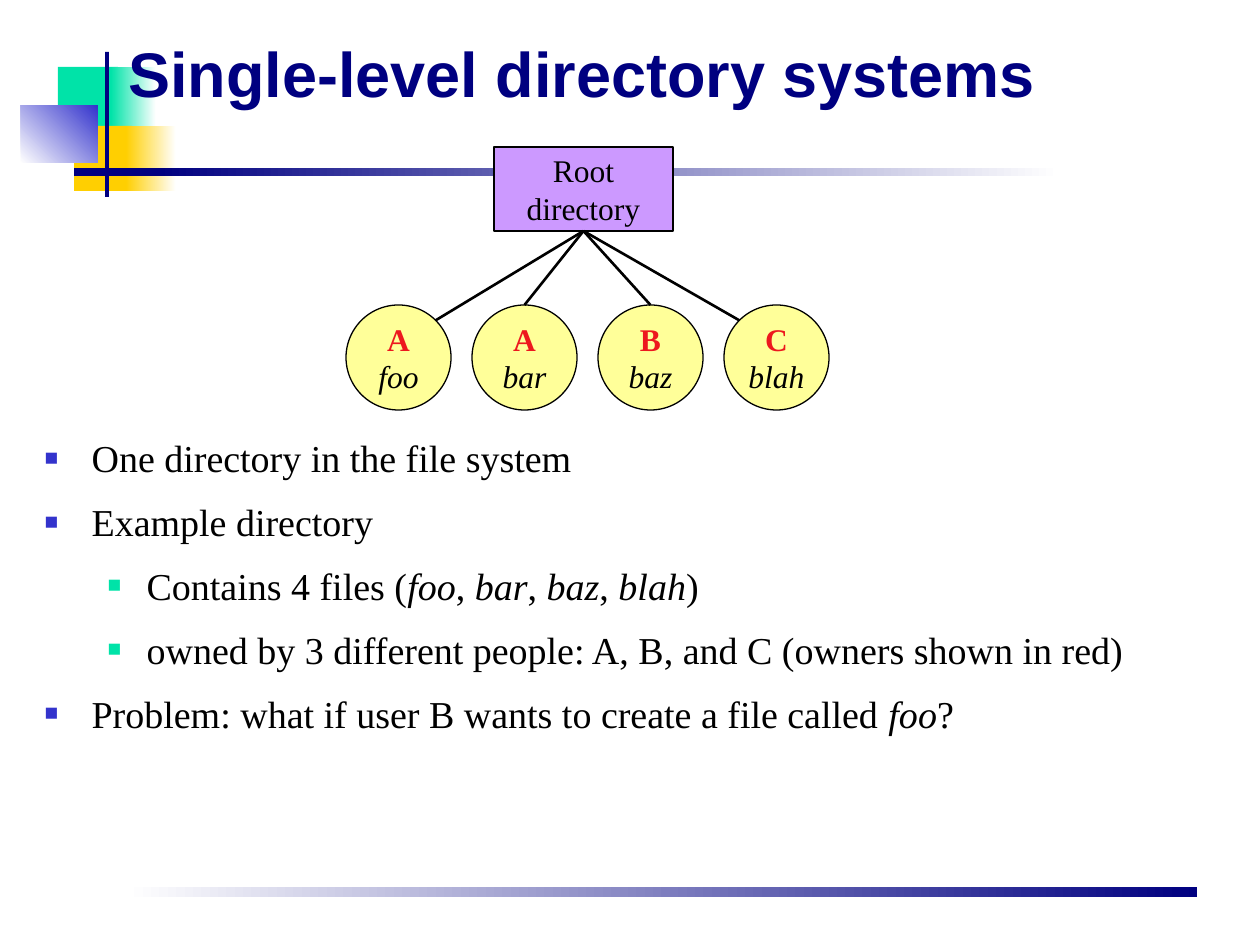
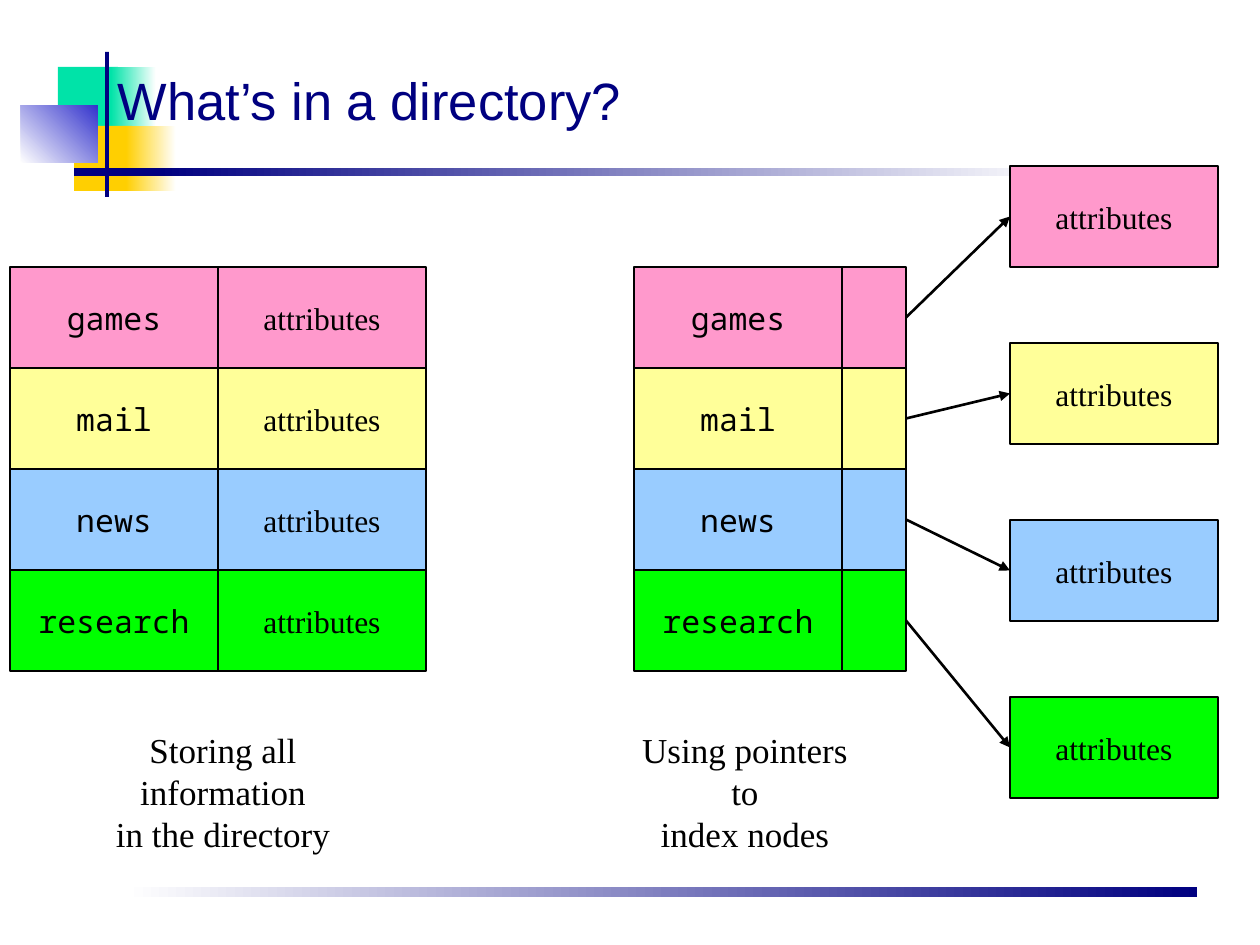
from dataclasses import dataclass
from math import sqrt
from typing import NamedTuple

from lxml.etree import SubElement
from pptx import Presentation
from pptx.dml.color import RGBColor
from pptx.enum.shapes import MSO_CONNECTOR, MSO_SHAPE
from pptx.enum.text import MSO_ANCHOR, MSO_AUTO_SIZE, PP_ALIGN
from pptx.oxml.ns import qn
from pptx.util import Emu, Pt

PX_PER_INCH = 126


def px(length: float) -> Emu:
    return Emu(round(length * 914400 / PX_PER_INCH))


@dataclass(frozen=True)
class Theme:
    navy: str = "000080"
    blue: str = "3333CC"
    teal: str = "00E3A8"
    gold: str = "FFCF01"
    white: str = "FFFFFF"
    black: str = "000000"
    owner_red: str = "ED181E"
    violet: str = "CC99FF"
    pink: str = "FF99CC"
    yellow: str = "FFFF99"
    sky: str = "99CCFF"
    green: str = "00FF00"
    title_font: str = "Arial"
    text_font: str = "Times New Roman"
    code_font: str = "Noto Sans Mono"
    large_title: float = 36
    title: float = 30
    body: float = 21.7
    caption: float = 20
    label: float = 18
    outline: float = 0.75
    link: float = 1.5


THEME = Theme()


class Frame(NamedTuple):
    left: int
    top: int
    width: int
    height: int

    @property
    def right(self) -> int:
        return self.left + self.width

    @property
    def center(self) -> float:
        return self.left + self.width / 2

    @property
    def middle(self) -> float:
        return self.top + self.height / 2


class Point(NamedTuple):
    x: float
    y: float


class Band(NamedTuple):
    frame: Frame
    color: str
    end_color: str = ""
    angle: int = 0


class Bullet(NamedTuple):
    text: str  # words between asterisks are italic
    level: int = 0


class BulletStyle(NamedTuple):
    margin: int
    hanging: int
    color: str


class OwnedFile(NamedTuple):
    owner: str
    name: str


class Entry(NamedTuple):
    name: str
    color: str


BANDS = [
    Band(Frame(126, 887, 1071, 10), THEME.white, THEME.navy),
    Band(Frame(58, 67, 60, 66), THEME.teal),
    Band(Frame(111, 67, 45, 66), THEME.teal, THEME.white),
    Band(Frame(74, 126, 58, 65), THEME.gold),
    Band(Frame(126, 126, 50, 65), THEME.gold, THEME.white),
    Band(Frame(21, 105, 77, 58), THEME.white, THEME.blue, 45),
    Band(Frame(105, 52, 4, 145), THEME.navy),
    Band(Frame(74, 168, 94, 8), THEME.navy),
    Band(Frame(158, 168, 902, 8), THEME.navy, THEME.white),
]

BULLET_STYLES = [BulletStyle(47, 47, THEME.blue), BulletStyle(102, 39, THEME.teal)]

BULLETS = [
    Bullet("One directory in the file system"),
    Bullet("Example directory"),
    Bullet("Contains 4 files (*foo*, *bar*, *baz*, *blah*)", 1),
    Bullet("owned by 3 different people: A, B, and C (owners shown in red)", 1),
    Bullet("Problem: what if user B wants to create a file called *foo*?"),
]

FILES = [OwnedFile("A", "foo"), OwnedFile("A", "bar"),
         OwnedFile("B", "baz"), OwnedFile("C", "blah")]

ENTRIES = [Entry("games", THEME.pink), Entry("mail", THEME.yellow),
           Entry("news", THEME.sky), Entry("research", THEME.green)]


def place(shape, frame: Frame) -> None:
    shape.left, shape.top, shape.width, shape.height = map(px, frame)


def style_span(span, size: float, font: str = THEME.text_font, color: str = THEME.black,
               bold: bool = False, italic: bool = False) -> None:
    span.font.size = Pt(size)
    span.font.name = font
    span.font.color.rgb = RGBColor.from_string(color)
    span.font.bold = bold
    span.font.italic = italic


def add_plain_shape(page, kind: MSO_SHAPE, frame: Frame, color: str):
    shape = page.shapes.add_shape(kind, *map(px, frame))
    shape.shadow.inherit = False
    shape.fill.solid()
    shape.fill.fore_color.rgb = RGBColor.from_string(color)
    shape.line.fill.background()
    return shape


def add_band(page, band: Band):
    shape = add_plain_shape(page, MSO_SHAPE.RECTANGLE, band.frame, band.color)
    if band.end_color:
        shape.fill.gradient()
        shape.fill.gradient_angle = band.angle
        for stop, color in zip(shape.fill.gradient_stops, (band.color, band.end_color)):
            stop.color.rgb = RGBColor.from_string(color)
    return shape


def decorate_master(deck, page) -> None:
    """Draw the bands on a page, then move them behind everything on the master."""
    tree = deck.slide_master.shapes.element
    for position, band in enumerate(BANDS, start=2):
        tree.insert(position, add_band(page, band).element)


def write_centered(shape, lines: list[str], size: float, font: str = THEME.text_font) -> list:
    """Write the lines as one centred paragraph and return its runs."""
    frame = shape.text_frame
    frame.word_wrap = False
    para = frame.paragraphs[0]
    para.text = "\v".join(lines)
    para.alignment = PP_ALIGN.CENTER
    for span in para.runs:
        style_span(span, size, font)
    return list(para.runs)


def add_node(page, kind: MSO_SHAPE, frame: Frame, color: str, lines: list[str],
             font: str = THEME.text_font):
    shape = add_plain_shape(page, kind, frame, color)
    shape.line.color.rgb = RGBColor.from_string(THEME.black)
    shape.line.width = Pt(THEME.outline)
    shape.text_frame.vertical_anchor = MSO_ANCHOR.MIDDLE
    if lines:
        write_centered(shape, lines, THEME.label, font)
    return shape


def add_link(page, start: Point, end: Point, arrow: bool = False):
    link = page.shapes.add_connector(MSO_CONNECTOR.STRAIGHT, *map(px, (*start, *end)))
    link.line.color.rgb = RGBColor.from_string(THEME.black)
    link.line.width = Pt(THEME.link)
    properties = link.element.spPr
    if arrow:
        SubElement(properties.find(qn("a:ln")), qn("a:tailEnd"), type="triangle")
    SubElement(properties, qn("a:effectLst"))
    return link


def add_caption(page, frame: Frame, lines: list[str]) -> None:
    box = page.shapes.add_textbox(*map(px, frame))
    write_centered(box, lines, THEME.caption)


def set_title(page, text: str, frame: Frame, size: float, bold: bool = False) -> None:
    title = page.shapes.title
    place(title, frame)
    title.text_frame.text = text
    title.text_frame.auto_size = MSO_AUTO_SIZE.NONE
    title.text_frame.vertical_anchor = MSO_ANCHOR.BOTTOM
    para = title.text_frame.paragraphs[0]
    para.alignment = PP_ALIGN.LEFT
    style_span(para.runs[0], size, THEME.title_font, THEME.navy, bold)


def set_bullet(para, level: int) -> None:
    style = BULLET_STYLES[level]
    para.level = level
    properties = para._p.get_or_add_pPr()
    properties.set("marL", str(px(style.margin)))
    properties.set("indent", str(-px(style.hanging)))
    color = SubElement(properties, qn("a:buClr"))
    SubElement(color, qn("a:srgbClr"), val=style.color)
    SubElement(properties, qn("a:buSzPct"), val="60000")
    SubElement(properties, qn("a:buFont"), typeface=THEME.text_font)
    SubElement(properties, qn("a:buChar"), char="■")


def fill_body(page, frame: Frame, bullets: list[Bullet]) -> None:
    body = page.placeholders[1]
    place(body, frame)
    text_frame = body.text_frame
    text_frame.auto_size = MSO_AUTO_SIZE.NONE
    text_frame.margin_top = px(11)
    for index, bullet in enumerate(bullets):
        para = text_frame.add_paragraph() if index else text_frame.paragraphs[0]
        para.line_spacing = 1.3
        para.space_before = Pt(2.7 if index else 0)
        set_bullet(para, bullet.level)
        for part, text in enumerate(bullet.text.split("*")):
            span = para.add_run()
            span.text = text
            style_span(span, THEME.body, italic=part % 2 == 1)


def draw_file_tree(page) -> None:
    root_frame = Frame(494, 147, 179, 84)
    root = add_node(page, MSO_SHAPE.RECTANGLE, root_frame, THEME.violet, ["Root", "directory"])
    diameter, pitch = 105, 126
    frames = [Frame(346 + pitch * index, 305, diameter, diameter) for index in range(len(FILES))]
    for file, frame in zip(FILES, frames):
        circle = add_node(page, MSO_SHAPE.OVAL, frame, THEME.yellow, [])
        owner, name = write_centered(circle, [file.owner, file.name], THEME.label)
        style_span(owner, THEME.label, color=THEME.owner_red, bold=True)
        name.font.italic = True

    # Outer circles are met on their diagonal, inner ones at the top.
    diagonal = diameter / 2 / sqrt(2)
    outer_ends = {
        0: Point(frames[0].center + diagonal, frames[0].middle - diagonal),
        len(frames) - 1: Point(frames[-1].center - diagonal, frames[-1].middle - diagonal),
    }
    start = Point(root_frame.center, root_frame.top + root_frame.height)
    for index, frame in enumerate(frames):
        link = add_link(page, start, outer_ends.get(index, Point(frame.center, frame.top)))
        link.begin_connect(root, 2)


def draw_directories(page) -> None:
    """Draw the directory holding attributes and the one pointing to them."""
    width, height, pointer_width = 208, 101, 64
    box = MSO_SHAPE.RECTANGLE
    for index, entry in enumerate(ENTRIES):
        top = 267 + height * index
        for left in (10, 634):
            add_node(page, box, Frame(left, top, width, height), entry.color,
                     [entry.name], THEME.code_font)
        add_node(page, box, Frame(10 + width, top, width, height), entry.color, ["attributes"])
        pointer_frame = Frame(634 + width, top, pointer_width, height)
        pointer = add_node(page, box, pointer_frame, entry.color, [])
        target_frame = Frame(1010, 166 + 177 * index, width, height)
        target = add_node(page, box, target_frame, entry.color, ["attributes"])
        link = add_link(page, Point(pointer_frame.right, pointer_frame.middle),
                        Point(target_frame.left, target_frame.middle), arrow=True)
        link.begin_connect(pointer, 3)
        link.end_connect(target, 1)


def main() -> None:
    deck = Presentation()
    deck.slide_width, deck.slide_height = px(1260), px(945)

    page = deck.slides.add_slide(deck.slide_layouts.get_by_name("Title and Content"))
    decorate_master(deck, page)
    set_title(page, "Single-level directory systems", Frame(116, 32, 1071, 84),
              THEME.large_title, bold=True)
    fill_body(page, Frame(32, 410, 1202, 331), BULLETS)
    draw_file_tree(page)

    page = deck.slides.add_slide(deck.slide_layouts.get_by_name("Title Only"))
    set_title(page, "What’s in a directory?", Frame(105, 53, 1071, 84), THEME.title)
    draw_directories(page)
    add_caption(page, Frame(50, 722, 346, 97), ["Storing all information", "in the directory"])
    add_caption(page, Frame(612, 722, 266, 97), ["Using pointers to", "index nodes"])

    deck.save("out.pptx")


if __name__ == "__main__":
    main()
